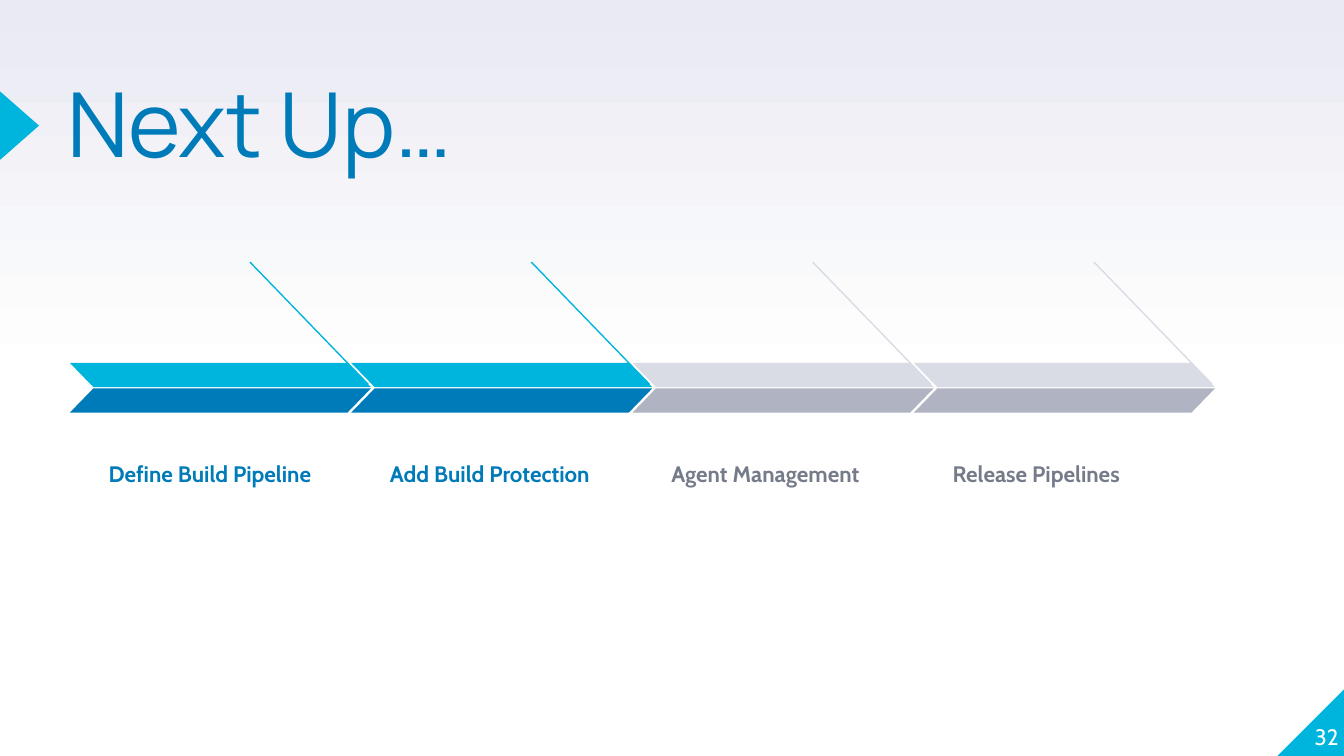
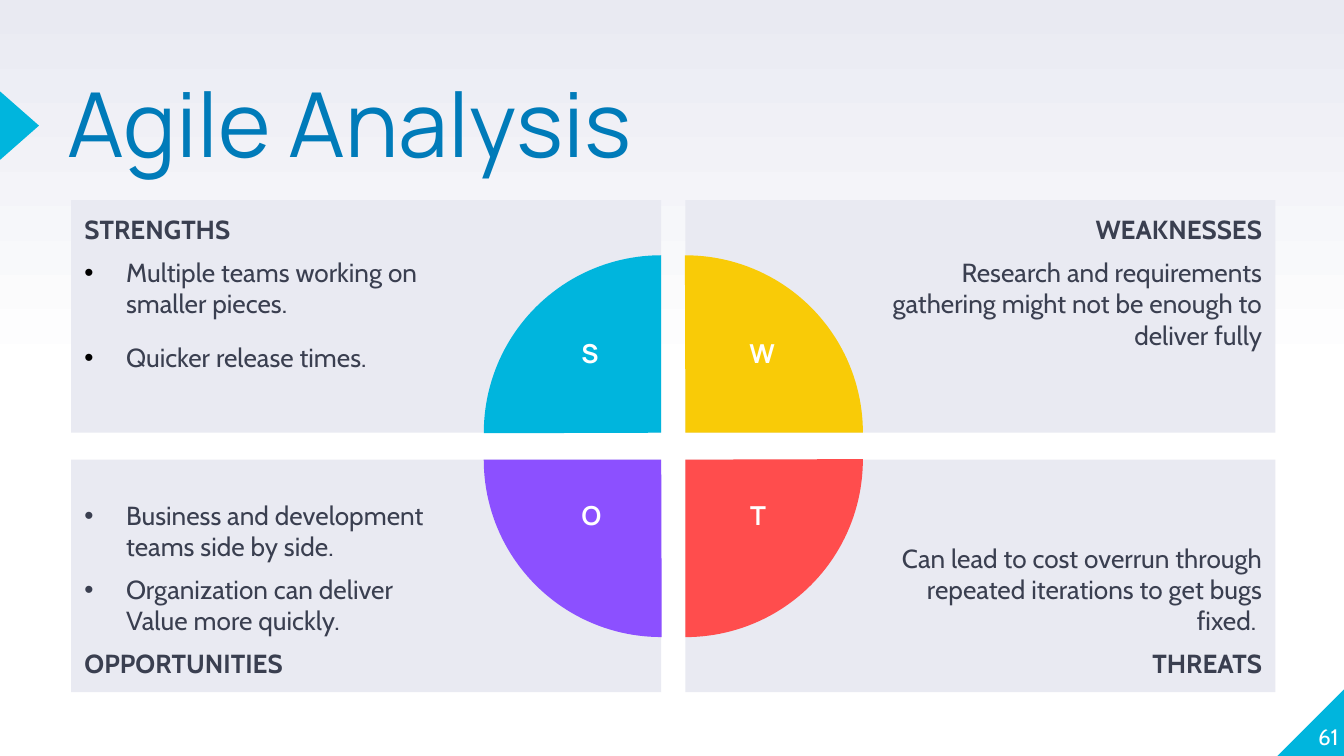
import pptx
import pptx.util
import pptx.dml.color
import pptx.enum.shapes
import pptx.enum.text
import pptx.oxml
import pptx.oxml.ns
from lxml import etree

Inches = pptx.util.Inches
Pt = pptx.util.Pt
SHAPE = pptx.enum.shapes.MSO_SHAPE
ALIGN = pptx.enum.text.PP_ALIGN
ANCHOR = pptx.enum.text.MSO_ANCHOR

SLIDE_WIDTH = 10
SLIDE_HEIGHT = SLIDE_WIDTH * 9 / 16
COLORS = {
    "white": "FFFFFF",
    "black": "000000",
    "mist": "E9EAF2",
    "cyan": "00B5DD",
    "blue": "007BB9",
    "silver": "DADCE5",
    "steel": "B0B3C1",
    "slate": "757B89",
    "ink": "3A3F50",
    "yellow": "F9CB07",
    "red": "FF4D4D",
    "purple": "8C50FF",
}
HEADING_FONT = "Manrope"
BODY_FONT = "Cabin"


def rgb(color):
    return pptx.dml.color.RGBColor.from_string(COLORS[color])


def inches(*lengths):
    return [Inches(length) for length in lengths]


def add_filled_shape(shapes, kind, box, color, adjustments=(), rotation=0, flip=False):
    shape = shapes.add_shape(kind, *inches(*box))
    shape.shadow.inherit = False
    shape.fill.solid()
    shape.fill.fore_color.rgb = rgb(color)
    shape.line.fill.background()
    for index, value in enumerate(adjustments):
        shape.adjustments[index] = value
    shape.rotation = rotation
    if flip:
        shape.element.spPr.get_or_add_xfrm().set("flipH", "1")
    return shape


def format_frame(frame, margins, anchor=ANCHOR.TOP):
    frame.word_wrap = True
    frame.vertical_anchor = anchor
    frame.margin_left, frame.margin_top, frame.margin_right, frame.margin_bottom = inches(*margins)


def format_paragraph(paragraph, text, font, size, color, bold=False, align=ALIGN.LEFT):
    paragraph.text = text
    paragraph.alignment = align
    paragraph.font.name = font
    paragraph.font.size = Pt(size)
    paragraph.font.bold = bold
    paragraph.font.color.rgb = rgb(color)


def add_label(shapes, box, text, font, size, color, bold=False, align=ALIGN.LEFT,
              margins=(0.1, 0.05, 0.1, 0.05), anchor=ANCHOR.TOP):
    frame = shapes.add_textbox(*inches(*box)).text_frame
    format_frame(frame, margins, anchor)
    format_paragraph(frame.paragraphs[0], text, font, size, color, bold, align)
    return frame.paragraphs[0]


def add_bullet(paragraph, color):
    properties = paragraph._p.get_or_add_pPr()
    properties.set("marL", str(Inches(0.31)))
    properties.set("indent", str(Inches(-0.31)))
    bullet_color = etree.SubElement(properties, pptx.oxml.ns.qn("a:buClr"))
    etree.SubElement(bullet_color, pptx.oxml.ns.qn("a:srgbClr")).set("val", COLORS[color])
    etree.SubElement(properties, pptx.oxml.ns.qn("a:buFont")).set("typeface", "Arial")
    etree.SubElement(properties, pptx.oxml.ns.qn("a:buChar")).set("char", "•")


def set_background(presentation):
    fill = presentation.slide_master.background.fill
    fill.gradient()
    fill.gradient_angle = 90
    for stop, position, color in zip(fill.gradient_stops, (0.5, 1), ("white", "mist")):
        stop.position = position
        stop.color.rgb = rgb(color)


def add_base_slide(presentation, title, number):
    slide = presentation.slides.add_slide(presentation.slide_layouts[5])
    add_filled_shape(slide.shapes, SHAPE.RIGHT_TRIANGLE, (9.5, 5.12, 0.51, 0.51), "cyan", flip=True)
    add_filled_shape(slide.shapes, SHAPE.ISOSCELES_TRIANGLE, (-0.11, 0.79, 0.51, 0.29), "cyan", rotation=90)
    heading = slide.shapes.title
    heading.left, heading.top, heading.width, heading.height = inches(0.5, 0.66, 6.17, 1.18)
    format_frame(heading.text_frame, (0, 0, 0, 0))
    paragraph = heading.text_frame.paragraphs[0]
    format_paragraph(paragraph, title, HEADING_FONT, 48, "blue")
    paragraph.line_spacing = 0.8
    add_label(slide.shapes, (9.46, 5.07, 0.5, 0.51), number, BODY_FONT, 12, "white",
              align=ALIGN.RIGHT, margins=(0, 0, 0, 0), anchor=ANCHOR.BOTTOM)
    return slide


def add_step(slide, left, top, text, upper_color, lower_color, text_color):
    shapes = slide.shapes.add_group_shape().shapes
    paragraph = add_label(shapes, (left + 0.19, top + 1.22, 1.84, 0.55), text, BODY_FONT, 12, text_color,
                          bold=True, margins=(0.1, 0.1, 0.1, 0.1), anchor=ANCHOR.BOTTOM)
    paragraph.line_spacing = 1.15
    pointer = shapes.add_connector(pptx.enum.shapes.MSO_CONNECTOR.STRAIGHT,
                                   *inches(left + 1.34, top, left + 2.22, top + 0.91))
    pointer.line.color.rgb = rgb(upper_color)
    pointer.line.width = Pt(0.75)
    etree.SubElement(pointer.element.spPr, pptx.oxml.ns.qn("a:effectLst"))
    for offset, color, flip in ((0.75, upper_color, True), (0.94, lower_color, False)):
        add_filled_shape(shapes, SHAPE.PARALLELOGRAM, (left, top + offset, 2.24, 0.18), color, (0.97,), flip=flip)


def build_roadmap(presentation):
    slide = add_base_slide(presentation, "Next Up…", "32")
    done = ("cyan", "blue", "blue")
    pending = ("silver", "steel", "slate")
    steps = (
        ("Define Build Pipeline", done),
        ("Add Build Protection", done),
        ("Agent Management", pending),
        ("Release Pipelines", pending),
    )
    pitch = 6.28 / 3
    for index, (text, colors) in enumerate(steps):
        add_step(slide, 0.52 + index * pitch, 1.95, text, *colors)


def add_quadrant(slide, column, row, box, heading, items, bulleted, color, rotation, letter_offset):
    left, top, width, height = box
    panel = add_filled_shape(slide.shapes, SHAPE.RECTANGLE, box, "mist")
    margins = (1.5, 0.1, 0.1, 0.1) if column else (0.1, 0.1, 1.5, 0.1)
    frame = panel.text_frame
    format_frame(frame, margins, ANCHOR.BOTTOM if row else ANCHOR.TOP)
    entries = [(item, False) for item in items]
    entries.insert(len(entries) if row else 0, (heading, True))
    for index, (text, is_heading) in enumerate(entries):
        paragraph = frame.add_paragraph() if index else frame.paragraphs[0]
        if bulleted and not is_heading:
            add_bullet(paragraph, "ink" if row else "black")
        format_paragraph(paragraph, text, BODY_FONT, 14, "ink", is_heading,
                         ALIGN.RIGHT if column else ALIGN.LEFT)
        if index:
            paragraph.space_before = Pt(6)
            if is_heading or not row:
                paragraph.space_after = Pt(6)

    radius = 1.32
    center_x = left if column else left + width
    center_y = top if row else top + height
    add_filled_shape(slide.shapes, SHAPE.PIE, (center_x - radius, center_y - radius, 2 * radius, 2 * radius),
                     color, (107.89, 162), rotation)
    letter_x = center_x + letter_offset
    letter_y = center_y + (0.25 if row else -0.76)
    add_label(slide.shapes, (letter_x - 0.35, letter_y, 0.7, 0.48), heading[0], HEADING_FONT, 14, "white",
              bold=True, align=ALIGN.CENTER)


def build_analysis(presentation):
    slide = add_base_slide(presentation, "Agile Analysis", "61")
    quadrants = (
        (0, 0, "STRENGTHS", ("Multiple teams working on smaller pieces.", "Quicker release times."),
         True, "cyan", 0, -0.53),
        (1, 0, "WEAKNESSES", ("Research and requirements gathering might not be enough to deliver fully",),
         False, "yellow", 90, 0.57),
        (0, 1, "OPPORTUNITIES", ("Business and development teams side by side.",
                                 "Organization can deliver Value more quickly."),
         True, "purple", 270, -0.52),
        (1, 1, "THREATS", ("Can lead to cost overrun through repeated iterations to get bugs fixed. ",),
         False, "red", 180, 0.54),
    )
    for column, row, *content in quadrants:
        box = (0.53 + column * 4.57, 1.49 + row * 1.93, 4.39, 1.73)
        add_quadrant(slide, column, row, box, *content)


def main():
    presentation = pptx.Presentation()
    presentation.slide_width, presentation.slide_height = inches(SLIDE_WIDTH, SLIDE_HEIGHT)
    set_background(presentation)
    build_roadmap(presentation)
    build_analysis(presentation)
    presentation.save("out.pptx")


if __name__ == "__main__":
    main()
